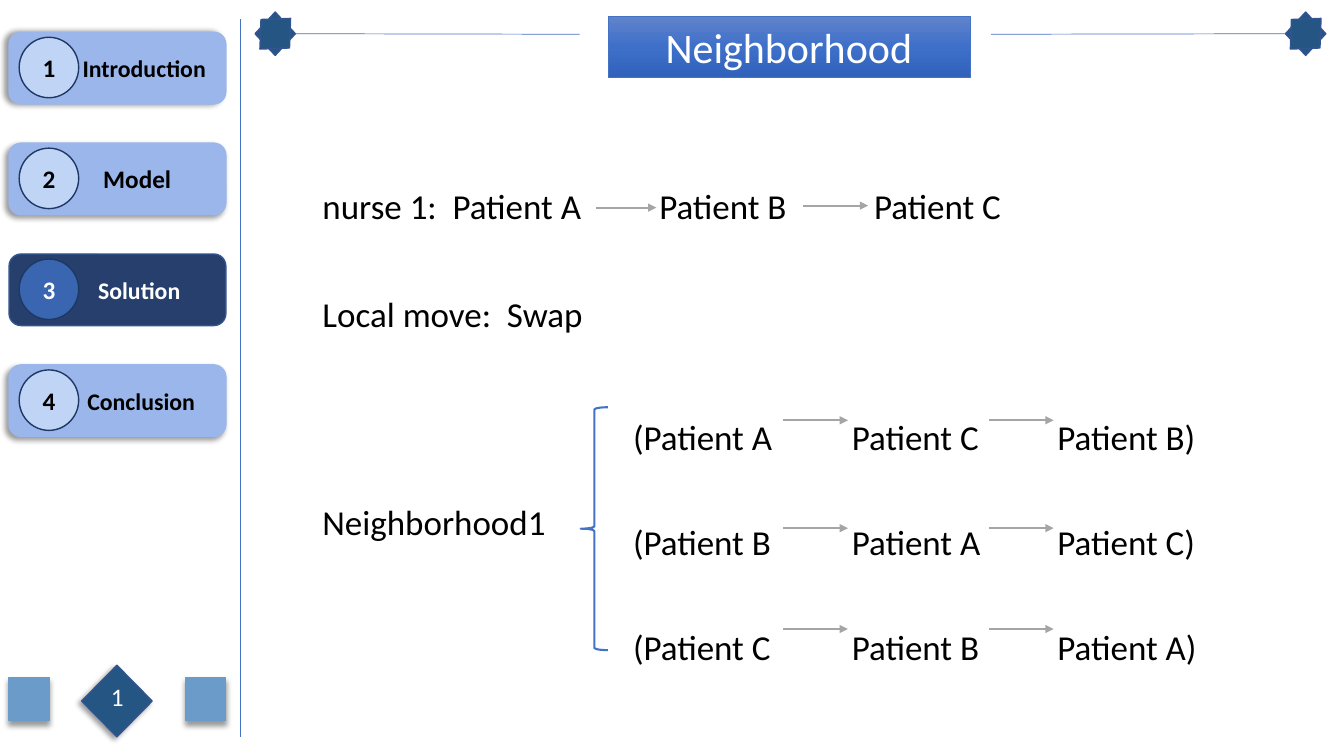
from lxml import etree
from pptx import Presentation
from pptx.dml.color import RGBColor
from pptx.enum.shapes import MSO_CONNECTOR, MSO_SHAPE
from pptx.enum.text import MSO_ANCHOR, PP_ALIGN
from pptx.oxml.ns import qn
from pptx.util import Inches, Pt

RECT, ROUND_RECT = MSO_SHAPE.RECTANGLE, MSO_SHAPE.ROUNDED_RECTANGLE
OVAL, DIAMOND, BRACE = MSO_SHAPE.OVAL, MSO_SHAPE.DIAMOND, MSO_SHAPE.LEFT_BRACE
STRAIGHT = MSO_CONNECTOR.STRAIGHT
CENTER, LEFT = PP_ALIGN.CENTER, PP_ALIGN.LEFT
MIDDLE = MSO_ANCHOR.MIDDLE
FONT = "Calibri"
SIDE_LEFT, SIDE_RIGHT = 1, 3
COLORS = {
    "black": "000000", "white": "FFFFFF", "accent": "4472C4", "arrow": "A5A5A5",
    "button": "9AB6EA", "active": "263F6D", "active_edge": "325491",
    "badge": "C0D4F5", "active_badge": "3A66B1", "badge_edge": "1E3864",
    "diamond": "255683", "square": "6B9BC8",
    "title_top": "6183CB", "title_mid": "3E70CA", "title_end": "3062BB",
}
SECTIONS = [("Introduction", 17, 0.63, 180), ("Model", 18, 0.49, 135),
            ("Solution", 17, 0.53, 135), ("Conclusion", 17, 0.57, 135)]
ACTIVE_SECTION = "Solution"
NEIGHBORS = ["ACB", "BAC", "CBA"]


def rgb(name):
    """Return the palette colour called name."""
    return RGBColor.from_string(COLORS[name])


def add_shadow(shape, direction):
    """Give the shape a soft outer shadow falling in the given direction."""
    effects = shape._element.spPr.find(qn("a:effectLst"))
    outer = etree.SubElement(effects, qn("a:outerShdw"), blurRad=str(Pt(4)),
                             dist=str(Pt(3)), dir=str(direction * 60000),
                             algn="ctr", rotWithShape="0")
    shade = etree.SubElement(outer, qn("a:srgbClr"), val=COLORS["black"])
    etree.SubElement(shade, qn("a:alpha"), val="40000")


def add_figure(slide, kind, box, fill, edge, edge_width=1, shadow=None):
    """Draw a preset shape in the box (left, top, width, height)."""
    shape = slide.shapes.add_shape(kind, *map(Inches, box))
    shape.shadow.inherit = False
    if fill:
        shape.fill.solid()
        shape.fill.fore_color.rgb = rgb(fill)
    else:
        shape.fill.background()
    shape.line.color.rgb = rgb(edge)
    shape.line.width = Pt(edge_width)
    if shadow is not None:
        add_shadow(shape, shadow)
    return shape


def add_line(slide, start, end, color="accent", width=0.5, arrow=False):
    """Draw a straight line between two points, with an optional arrowhead."""
    line = slide.shapes.add_connector(STRAIGHT, *map(Inches, start + end))
    line.line.color.rgb = rgb(color)
    line.line.width = Pt(width)
    if arrow:
        etree.SubElement(line.line._get_or_add_ln(), qn("a:tailEnd"), type="triangle")
    etree.SubElement(line._element.spPr, qn("a:effectLst"))
    return line


def write(paragraph, text, size, color="black", bold=False, align=LEFT):
    """Add one formatted run to the paragraph."""
    paragraph.alignment = align
    run = paragraph.add_run()
    run.text = text
    run.font.name = FONT
    run.font.size = Pt(size)
    run.font.bold = bold
    run.font.color.rgb = rgb(color)


def label(shape, text, size, color, bold=True, inset=0.1):
    """Write centred text in a shape, with the left inset given."""
    frame = shape.text_frame
    frame.vertical_anchor = MIDDLE
    frame.word_wrap = False
    frame.margin_left = Inches(inset)
    write(frame.paragraphs[0], text, size, color, bold, CENTER)


def add_text(slide, box, lines, size=25, color="black", spacing=None, tabs=()):
    """Place a text box whose lines share their spacing and tab stops."""
    frame = slide.shapes.add_textbox(*map(Inches, box)).text_frame
    frame.word_wrap = True
    for index, text in enumerate(lines):
        paragraph = frame.add_paragraph() if index else frame.paragraphs[0]
        if spacing:
            paragraph.line_spacing = spacing
        write(paragraph, text, size, color)
        if tabs:
            stops = etree.SubElement(paragraph._p.get_or_add_pPr(), qn("a:tabLst"))
            for stop in tabs:
                etree.SubElement(stops, qn("a:tab"), pos=str(Inches(stop)), algn="l")


def add_navigation(slide, left, top, width, pitch):
    """Stack the numbered section buttons."""
    for index, (name, size, inset, direction) in enumerate(SECTIONS):
        active = name == ACTIVE_SECTION
        text_color = "white" if active else "black"
        y = top + index * pitch
        button = add_figure(slide, ROUND_RECT, (left, y, width, 0.71),
                            "active" if active else "button",
                            "active_edge" if active else "button",
                            shadow=None if active else direction)
        label(button, name, size, text_color, inset=inset)
        badge = add_figure(slide, OVAL, (left + 0.1, y + 0.05, 0.59, 0.6),
                           "active_badge" if active else "badge", "badge_edge")
        label(badge, str(index + 1), 18, text_color)


def add_pager(slide, left, top, width):
    """Place the page number diamond between two squares."""
    for x in (left, left + width - 0.4):
        add_figure(slide, RECT, (x, top + 0.12, 0.4, 0.43), "square", "square", shadow=90)
    add_figure(slide, DIAMOND, (left + 0.72, top, 0.7, 0.71), "diamond",
               "active_edge", shadow=135)
    add_text(slide, (left + 0.91, top + 0.11, 0.35, 0.4), ["1"], 18, "white")


def add_star(slide, left, top):
    """Cross two diamonds into a star and return the upright one."""
    box = (left, top, 0.4, 0.43)
    upright = add_figure(slide, DIAMOND, box, "diamond", "active_edge")
    add_figure(slide, DIAMOND, box, "diamond", "active_edge").rotation = 45
    return upright


def add_header(slide, left, top, width):
    """Place the title plate between two lines that end in stars."""
    right, y = left + width, top + 0.22
    left_star = add_star(slide, left, top)
    right_star = add_star(slide, right - 0.4, top)
    left_line = add_line(slide, (left + 0.4, y), (left + 3.22, y))
    left_line.begin_connect(left_star, SIDE_RIGHT)
    right_line = add_line(slide, (right - 3.32, y), (right - 0.4, y))
    right_line.end_connect(right_star, SIDE_LEFT)
    plate = add_figure(slide, RECT, (left + 3.5, top + 0.04, 3.59, 0.61), None, "accent", 0.5)
    plate.fill.gradient()
    plate.fill.gradient_angle = 270
    stops = plate._element.spPr.find(qn("a:gradFill")).find(qn("a:gsLst"))
    for stop in list(stops):
        stops.remove(stop)
    for position, name in ((0, "title_top"), (50, "title_mid"), (100, "title_end")):
        stop = etree.SubElement(stops, qn("a:gs"), pos=str(position * 1000))
        etree.SubElement(stop, qn("a:srgbClr"), val=COLORS[name])
    label(plate, "Neighborhood", 30, "white", bold=False)


def add_route(slide, left, top):
    """Show the nurse's starting route and the local move."""
    add_text(slide, (left, top, 7.59, 0.52), ["nurse 1:\tPatient A\tPatient B\tPatient C"],
             tabs=(1.29, 3.34, 5.47))
    for x, y, length in ((2.81, 0.28, 0.6), (4.86, 0.26, 0.65)):
        add_line(slide, (left + x, top + y), (left + x + length, top + y), "arrow", 1.5, True)
    add_text(slide, (left, top + 1.07, 7.51, 0.52), ["Local move:  Swap"])


def add_neighborhood(slide, left, top):
    """List the neighbouring routes beside a brace."""
    add_text(slide, (left, top + 1.47, 2.6, 0.52), ["Neighborhood1"])
    add_figure(slide, BRACE, (left + 2.66, top + 0.59, 0.27, 2.41), None, "accent", 1.5)
    routes = ["(" + "\t".join(f"Patient {patient}" for patient in order) + ")"
              for order in NEIGHBORS]
    add_text(slide, (left + 3.08, top, 6.68, 3.09), routes, spacing=2.5, tabs=(2.17, 4.21))
    for y in (0.72, 1.79, 2.79):
        for x in (4.67, 6.71):
            add_line(slide, (left + x, top + y), (left + x + 0.64, top + y), "arrow", 1.5, True)


def main():
    """Build and save the slide."""
    deck = Presentation()
    deck.slide_width, deck.slide_height = Inches(13.33), Inches(7.5)
    slide = deck.slides.add_slide(deck.slide_layouts[6])
    add_navigation(slide, 0.09, 0.32, 2.15, 1.1)
    add_pager(slide, 0.09, 6.6, 2.15)
    add_line(slide, (2.38, 0.19), (2.38, 7.31))
    add_header(slide, 2.53, 0.12, 10.62)
    add_route(slide, 3.1, 1.78)
    add_neighborhood(slide, 3.1, 3.45)
    deck.save("out.pptx")


if __name__ == "__main__":
    main()
